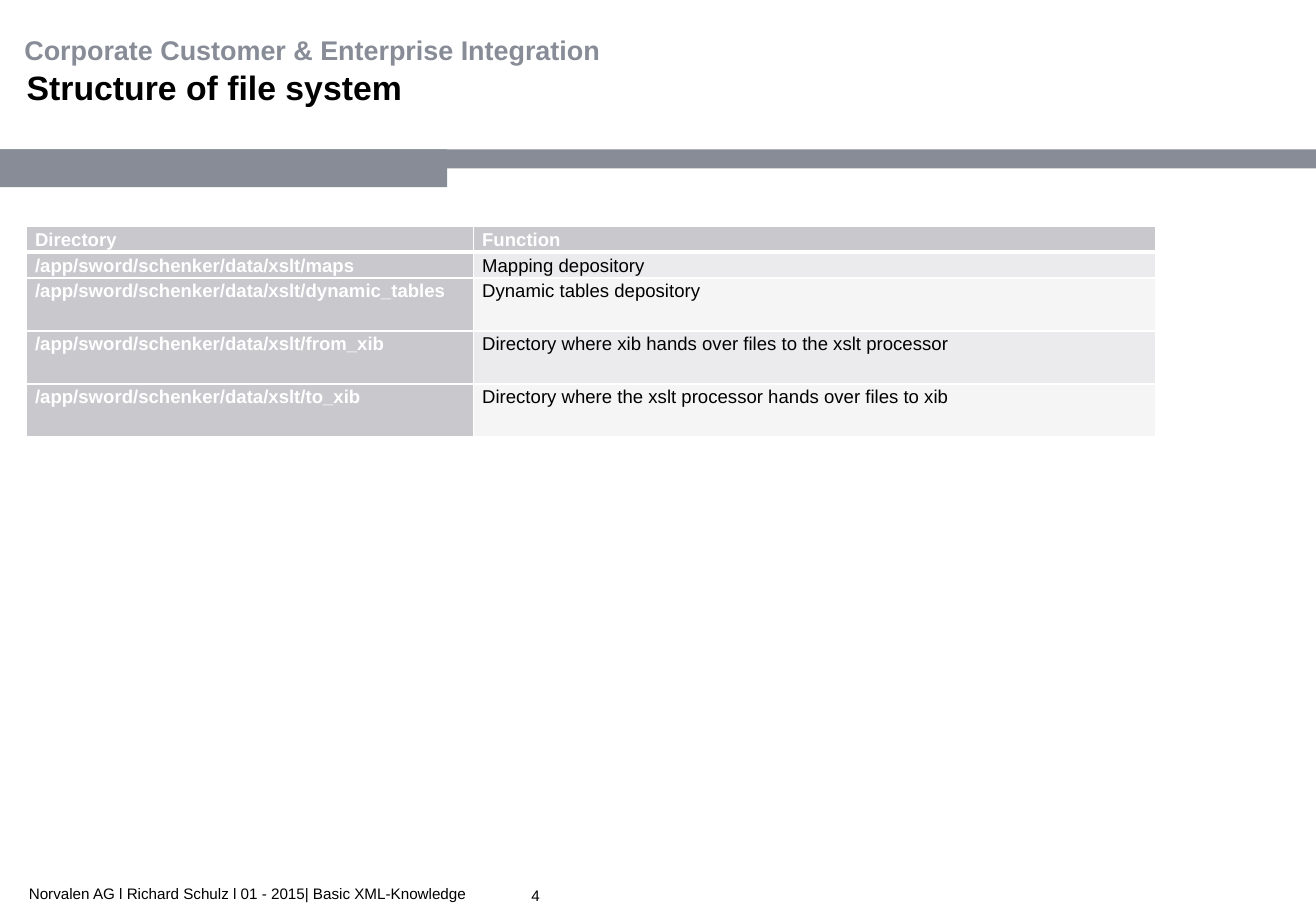
from dataclasses import dataclass

from lxml import etree
from pptx import Presentation
from pptx.dml.color import RGBColor as RGB
from pptx.enum.shapes import MSO_SHAPE as Shape
from pptx.enum.text import MSO_ANCHOR as Anchor, PP_ALIGN as Align
from pptx.oxml.ns import qn
from pptx.util import Pt


@dataclass(frozen=True)
class Theme:
    font: str = "Arial"
    black: str = "000000"
    white: str = "FFFFFF"
    grey: str = "878C96"
    header: str = "C8C8CD"
    bands: tuple = ("EBEBED", "F5F5F6")
    title_size: int = 20
    heading_size: int = 16
    table_size: int = 11
    footer_size: int = 9


theme = Theme()


def write(frame, text, size, color, bold=False, insets=(0, 0, 0, 0), anchor=Anchor.TOP):
    """Write one left-aligned run into a text frame or table cell."""
    frame.margin_left, frame.margin_top, frame.margin_right, frame.margin_bottom = map(Pt, insets)
    frame.vertical_anchor = anchor
    para = getattr(frame, "text_frame", frame).paragraphs[0]
    para.alignment = Align.LEFT
    span = para.add_run()
    span.text = text
    span.font.name, span.font.size, span.font.bold = theme.font, Pt(size), bold
    span.font.color.rgb = RGB.from_string(color)
    return para


def add_border(cell, side, width):
    """Draw a white line on one side (L, R, T or B) of a cell."""
    line = etree.SubElement(cell._tc.get_or_add_tcPr(), qn(f"a:ln{side}"), w=str(Pt(width)))
    fill = etree.SubElement(line, qn("a:solidFill"))
    etree.SubElement(fill, qn("a:srgbClr"), val=theme.white)


deck = Presentation()
deck.slide_width, deck.slide_height = Pt(780), Pt(540)
page = deck.slides.add_slide(deck.slide_layouts[5])

# Stepped bar under the title
for width, height in ((780, 11.3), (265, 22.5)):
    bar = page.shapes.add_shape(Shape.RECTANGLE, 0, Pt(88.5), Pt(width), Pt(height))
    bar.shadow.inherit = False
    bar.fill.solid()
    bar.fill.fore_color.rgb = RGB.from_string(theme.grey)
    bar.line.fill.background()

# Department heading, footer and page number
padding = (7.2, 3.6, 0, 3.6)
labels = (
    ("Corporate Customer & Enterprise Integration", (7.4, 16.6, 360, 26.6),
     theme.heading_size, theme.grey, True, padding, Anchor.TOP),
    ("Norvalen AG l Richard Schulz l 01 - 2015| Basic XML-Knowledge", (10, 520.4, 290, 18),
     theme.footer_size, theme.black, False, padding, Anchor.TOP),
    ("4", (315, 527, 150, 7.2),
     theme.footer_size, theme.black, False, (0, 0, 0, 0), Anchor.MIDDLE),
)
for text, place, *style in labels:
    box = page.shapes.add_textbox(*map(Pt, place))
    box.text_frame.word_wrap = True
    write(box.text_frame, text, *style)

# Title
title = page.shapes.title
title.left, title.top, title.width, title.height = map(Pt, (15.8, 39.6, 748, 51))
write(title.text_frame, "Structure of file system", theme.title_size, theme.black, True)

# Directory table
rows = (
    ("Directory", "Function"),
    ("/app/sword/schenker/data/xslt/maps", "Mapping depository"),
    ("/app/sword/schenker/data/xslt/dynamic_tables", "Dynamic tables depository"),
    ("/app/sword/schenker/data/xslt/from_xib",
     "Directory where xib hands over files to the xslt processor"),
    ("/app/sword/schenker/data/xslt/to_xib",
     "Directory where the xslt processor hands over files to xib"),
)
widths = (265, 404)
heights = (15.3, 15.3, 31.4, 31.4, 31.4)
table = page.shapes.add_table(
    len(rows), len(widths), Pt(15.8), Pt(134.2), Pt(sum(widths)), Pt(sum(heights))).table
for column, width in zip(table.columns, widths):
    column.width = Pt(width)
for r, texts in enumerate(rows):
    table.rows[r].height = Pt(heights[r])
    for c, text in enumerate(texts):
        cell = table.cell(r, c)
        heading = r == 0 or c == 0
        for side in "LRTB":
            thick = (r == 0 and side == "B") or (r == 1 and side == "T")
            add_border(cell, side, 3 if thick else 1)
        cell.fill.solid()
        cell.fill.fore_color.rgb = RGB.from_string(
            theme.header if heading else theme.bands[(r - 1) % 2])
        para = write(cell, text, theme.table_size, theme.white if heading else theme.black,
                     heading, (5, 0, 5, 0))
        para.line_spacing = 1.15

deck.save("out.pptx")
